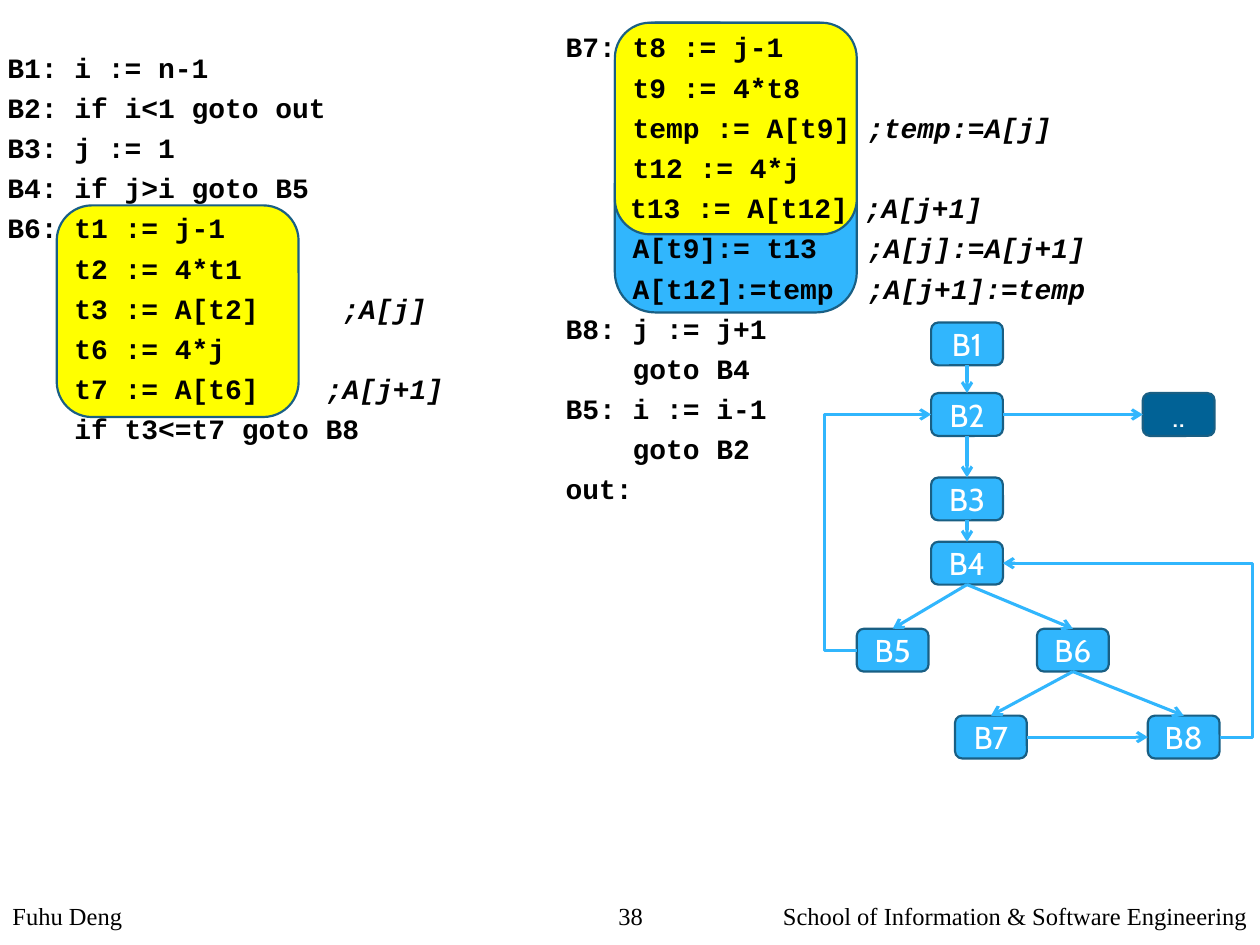
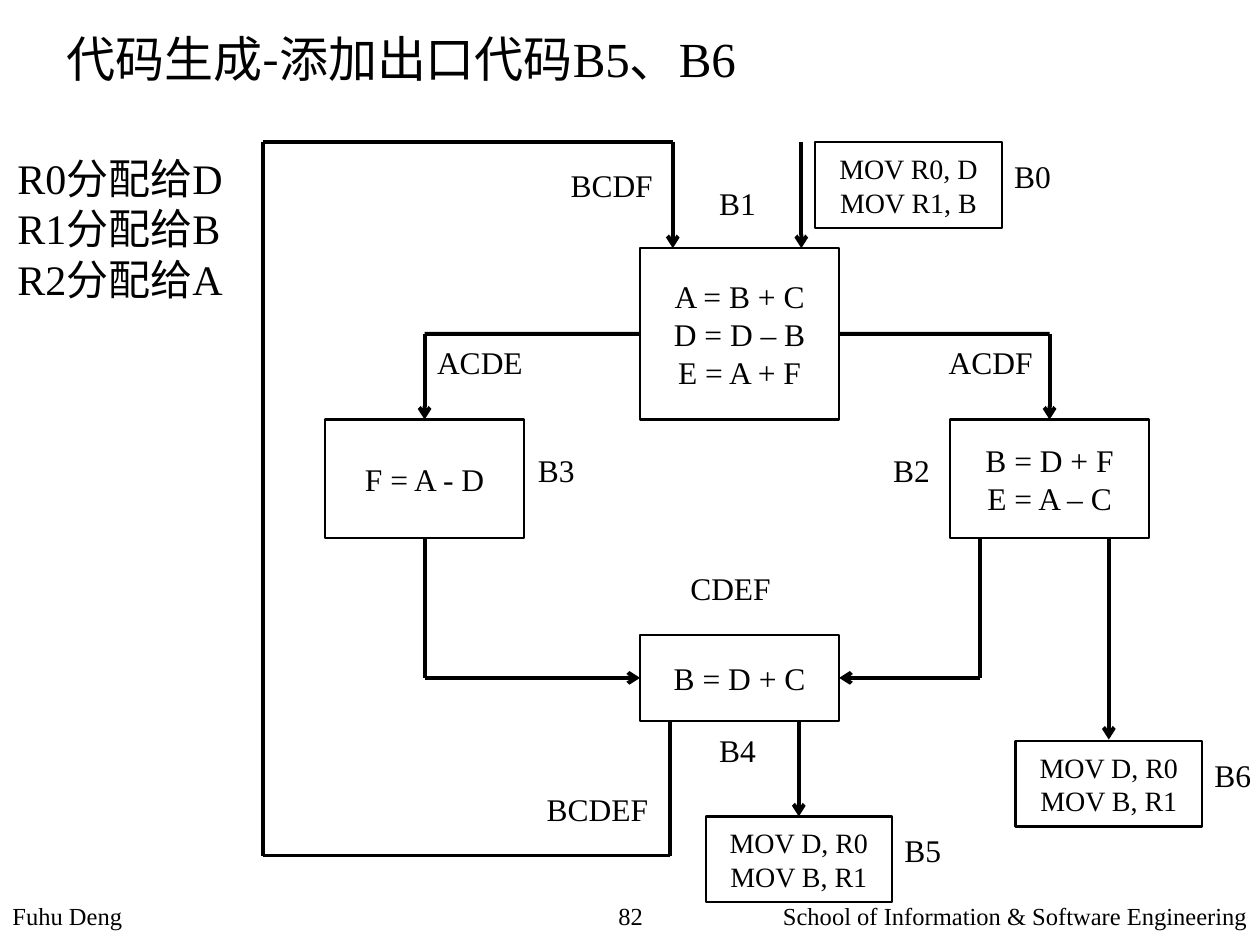
from lxml.etree import SubElement
from pptx import Presentation
from pptx.dml.color import RGBColor
from pptx.enum.shapes import MSO_CONNECTOR, MSO_SHAPE
from pptx.enum.text import MSO_ANCHOR, PP_ALIGN
from pptx.oxml.ns import qn
from pptx.util import Inches, Pt

COLORS = {
    "ink": "000000",
    "white": "FFFFFF",
    "sky": "31B6FD",
    "edge": "195F84",
    "exit": "016296",
    "mark": "FFFF00",
}
SERIF, MONO, ROUND, HAN = "Times New Roman", "Courier New", "Cabin", "Noto Sans CJK SC"
TOP, LEFT, BOTTOM, RIGHT = range(4)

LEFT_CODE = """B1: i := n-1
B2: if i<1 goto out
B3: j := 1
B4: if j>i goto B5
B6: t1 := j-1
    t2 := 4*t1
    t3 := A[t2]     ;A[j]
    t6 := 4*j
    t7 := A[t6]    ;A[j+1]
    if t3<=t7 goto B8"""

RIGHT_CODE = """B7: t8 := j-1
    t9 := 4*t8
    temp := A[t9] ;temp:=A[j]
    t12 := 4*j
 \t t13 := A[t12] ;A[j+1]
    A[t9]:= t13   ;A[j]:=A[j+1]
    A[t12]:=temp  ;A[j+1]:=temp
B8: j := j+1
    goto B4
B5: i := i-1
    goto B2
out:"""


def color(name):
    """Return the named colour as an RGB value."""
    return RGBColor.from_string(COLORS[name])


def write(frame, lines, size=18, font=SERIF, ink="ink", bold=None, align=None,
          anchor=MSO_ANCHOR.TOP, wrap=True):
    """Fill a text frame; each line is a string or a list of (text, font, italic)."""
    frame.word_wrap = wrap
    frame.vertical_anchor = anchor
    for index, line in enumerate(lines):
        para = frame.paragraphs[0] if index == 0 else frame.add_paragraph()
        para.alignment = align
        for text, face, italic in [(line, font, None)] if isinstance(line, str) else line:
            span = para.add_run()
            span.text = text
            span.font.size = Pt(size)
            span.font.bold = bold
            span.font.italic = italic
            span.font.color.rgb = color(ink)
            span.font.name = face
            SubElement(span.font._element, qn("a:ea")).set("typeface", HAN)


def add_text(page, area, lines, **style):
    """Place a text box and return its frame."""
    frame = page.shapes.add_textbox(*map(Inches, area)).text_frame
    write(frame, lines, **style)
    return frame


def add_block(shapes, kind, area, fill=None, line="ink"):
    """Place an outlined block, filled when a colour is given."""
    block = shapes.add_shape(kind, *map(Inches, area))
    block.shadow.inherit = False
    if fill:
        block.fill.solid()
        block.fill.fore_color.rgb = color(fill)
    else:
        block.fill.background()
    block.line.color.rgb = color(line)
    block.line.width = Pt(1.25)
    return block


def locate(end):
    """Return the point of an end, given as (x, y) in inches or (block, side)."""
    first, second = end
    if isinstance(first, (int, float)):
        return Inches(first), Inches(second)
    across, down = {TOP: (1, 0), LEFT: (0, 1), BOTTOM: (1, 2), RIGHT: (2, 1)}[second]
    return first.left + first.width * across // 2, first.top + first.height * down // 2


def join(shapes, start, end, ink="ink", width=2.25, arrow=True, bend=None):
    """Draw a straight connector, or an elbow whose middle leg lies at bend."""
    kind = MSO_CONNECTOR.STRAIGHT if bend is None else MSO_CONNECTOR.ELBOW
    link = shapes.add_connector(kind, *locate(start), *locate(end))
    link.line.color.rgb = color(ink)
    link.line.width = Pt(width)
    properties = link._element.spPr
    if arrow:
        SubElement(properties.find(qn("a:ln")), qn("a:tailEnd")).set("type", "arrow")
    SubElement(properties, qn("a:effectLst"))
    if bend is not None:
        guide = SubElement(properties.find(".//" + qn("a:avLst")), qn("a:gd"))
        guide.set("name", "adj1")
        guide.set("fmla", f"val {round(bend * 100000)}")
        return
    if not isinstance(start[0], (int, float)):
        link.begin_connect(*start)
    if not isinstance(end[0], (int, float)):
        link.end_connect(*end)


def route(page, *stops, arrow=True):
    """Join successive stops with straight lines, the last one with an arrowhead."""
    for index in range(len(stops) - 1):
        last = index == len(stops) - 2
        join(page.shapes, stops[index], stops[index + 1], arrow=arrow and last)


def footer(page, number):
    """Add author, page number and school."""
    for left, width, text, align in (
        (0, 4.69, "Fuhu Deng", PP_ALIGN.LEFT),
        (4.69, 0.63, str(number), PP_ALIGN.CENTER),
        (5.31, 4.69, "School of Information & Software Engineering", PP_ALIGN.RIGHT),
    ):
        add_text(page, (left, 7.1, width, 0.4), [text], size=14, align=align)


def code_listing(page, area, code):
    """Add a code column with its comments in italics."""
    lines = []
    for line in code.split("\n"):
        before, mark, comment = line.partition(";")
        spans = [(before, MONO, None)]
        if mark:
            spans.append((mark + comment, MONO, True))
        lines.append(spans)
    frame = add_text(page, area, lines, size=16, font=MONO, bold=True)
    frame.margin_top = Inches(0.04)
    for index, para in enumerate(frame.paragraphs):
        para.line_spacing = 1.03
        para.space_before = Pt(3.2 if index else 0)
        indent = para._p.get_or_add_pPr()
        indent.set("marL", str(Inches(0.38)))
        indent.set("indent", str(-Inches(0.38)))


def flow_graph(page, left, top):
    """Add the graph of basic blocks, placed from its upper left corner."""
    shapes = page.shapes.add_group_shape().shapes
    places = {
        "B1": (0.59, 0), "B2": (0.59, 0.56), "B3": (0.59, 1.23), "B4": (0.59, 1.74),
        "B5": (0, 2.43), "B6": (1.43, 2.43), "B7": (0.78, 3.12), "B8": (2.31, 3.12),
        "..": (2.27, 0.56),
    }
    nodes = {}
    for name, (across, down) in places.items():
        node = add_block(shapes, MSO_SHAPE.ROUNDED_RECTANGLE,
                         (left + across, top + down, 0.57, 0.34),
                         "exit" if name == ".." else "sky", "edge")
        frame = node.text_frame
        frame.margin_left = frame.margin_right = frame.margin_top = frame.margin_bottom = 0
        write(frame, [name], font=ROUND, ink="white", align=PP_ALIGN.CENTER,
              anchor=MSO_ANCHOR.MIDDLE)
        nodes[name] = node
    for source, side, target, other, bend in (
        ("B1", BOTTOM, "B2", TOP, None),
        ("B2", BOTTOM, "B3", TOP, None),
        ("B3", BOTTOM, "B4", TOP, None),
        ("B4", BOTTOM, "B5", TOP, None),
        ("B4", BOTTOM, "B6", TOP, None),
        ("B6", BOTTOM, "B7", TOP, None),
        ("B6", BOTTOM, "B8", TOP, None),
        ("B2", RIGHT, "..", LEFT, None),
        ("B7", RIGHT, "B8", LEFT, None),
        ("B5", LEFT, "B2", LEFT, -0.44),
        ("B8", RIGHT, "B4", RIGHT, -0.15),
    ):
        join(shapes, (nodes[source], side), (nodes[target], other), "sky", 1.75, bend=bend)


def code_page(deck):
    """Build the slide with the code and its flow graph."""
    page = deck.slides.add_slide(deck.slide_layouts[6])
    footer(page, 38)
    for left, top, height, fill in (
        (4.88, 0.18, 2.3, "sky"), (4.88, 0.18, 1.68, "mark"), (0.45, 1.63, 1.68, "mark"),
    ):
        add_block(page.shapes, MSO_SHAPE.ROUNDED_RECTANGLE, (left, top, 1.92, height),
                  fill, "edge")
    code_listing(page, (-0.04, 0.35, 4.42, 5.45), LEFT_CODE)
    code_listing(page, (4.39, 0.19, 4.58, 5.45), RIGHT_CODE)
    flow_graph(page, 6.8, 2.56)


def statement_block(page, area, lines, size=18):
    """Add a rectangle with centred statements."""
    block = add_block(page.shapes, MSO_SHAPE.RECTANGLE, area)
    write(block.text_frame, lines, size=size, align=PP_ALIGN.CENTER,
          anchor=MSO_ANCHOR.MIDDLE)
    return block


def label(page, left, top, text, width=0.5):
    """Add a short label on one line."""
    add_text(page, (left, top, width, 0.4), [text], wrap=False)


def register_block(page, left, top, name, lines):
    """Add a block of register moves with its name at the right."""
    statement_block(page, (left, top, 1.48, 0.68), lines, size=16)
    label(page, left + 1.48, top + 0.07, name)


def loop_diagram(page, left, top):
    """Add the loop with its entry and exit blocks, placed from its upper left corner."""
    def at(across, down):
        """Shift a point into the diagram."""
        return left + across, top + down

    b1 = statement_block(page, (*at(2.99, 0.84), 1.58, 1.36),
                         ["A = B + C", "D = D – B", "E = A + F"])
    b2 = statement_block(page, (*at(5.45, 2.2), 1.58, 0.94), ["B = D + F", "E = A – C"])
    b3 = statement_block(page, (*at(0.49, 2.2), 1.58, 0.94), ["F = A - D"])
    b4 = statement_block(page, (*at(2.99, 3.91), 1.58, 0.68), ["B = D + C"])

    route(page, (b1, LEFT), at(1.28, 1.52), (b3, TOP))
    route(page, (b1, RIGHT), at(6.24, 1.52), (b2, TOP))
    route(page, (b3, BOTTOM), at(1.28, 4.25), (b4, LEFT))
    route(page, at(5.69, 3.14), at(5.69, 4.25), (b4, RIGHT))
    route(page, at(6.71, 3.14), at(6.71, 4.74))
    route(page, at(4.25, 4.59), at(4.25, 5.35))
    route(page, at(4.27, 0), at(4.27, 0.84))
    route(page, at(3.23, 4.59), at(3.23, 5.66), at(0, 5.66), at(0, 0), at(3.25, 0),
          at(3.25, 0.84))

    for across, down, text, width in (
        (2.15, 5.09, "BCDEF", 1.02), (3.29, 3.34, "CDEF", 0.85),
        (1.28, 1.54, "ACDE", 0.89), (5.34, 1.54, "ACDF", 0.88),
        (2.34, 0.14, "BCDF", 0.86), (3.52, 0.28, "B1", 0.5),
        (4.9, 2.4, "B2", 0.5), (2.08, 2.4, "B3", 0.5), (3.52, 4.62, "B4", 0.5),
    ):
        label(page, *at(across, down), text, width)

    stores = ["MOV D, R0", "MOV B, R1"]
    register_block(page, *at(4.38, 0), "B0", ["MOV R0, D", "MOV R1, B"])
    register_block(page, *at(3.51, 5.35), "B5", stores)
    register_block(page, *at(5.97, 4.75), "B6", stores)


def registers_page(deck):
    """Build the slide on exit code with the register allocation."""
    page = deck.slides.add_slide(deck.slide_layouts[6])
    add_text(page, (0.43, 0.18, 7.16, 0.73),
             [[("代码生成-添加出口代码", HAN, None), ("B5、B6", SERIF, None)]], size=28)
    loop_diagram(page, 2.09, 1.13)
    add_text(page, (0.04, 1.16, 1.85, 1.31),
             [f"R{index}分配给{name}" for index, name in enumerate("DBA")], size=24)
    footer(page, 82)


def main():
    """Build and save the deck."""
    deck = Presentation()
    deck.slide_width, deck.slide_height = Inches(10), Inches(7.5)
    code_page(deck)
    registers_page(deck)
    deck.save("out.pptx")


if __name__ == "__main__":
    main()
